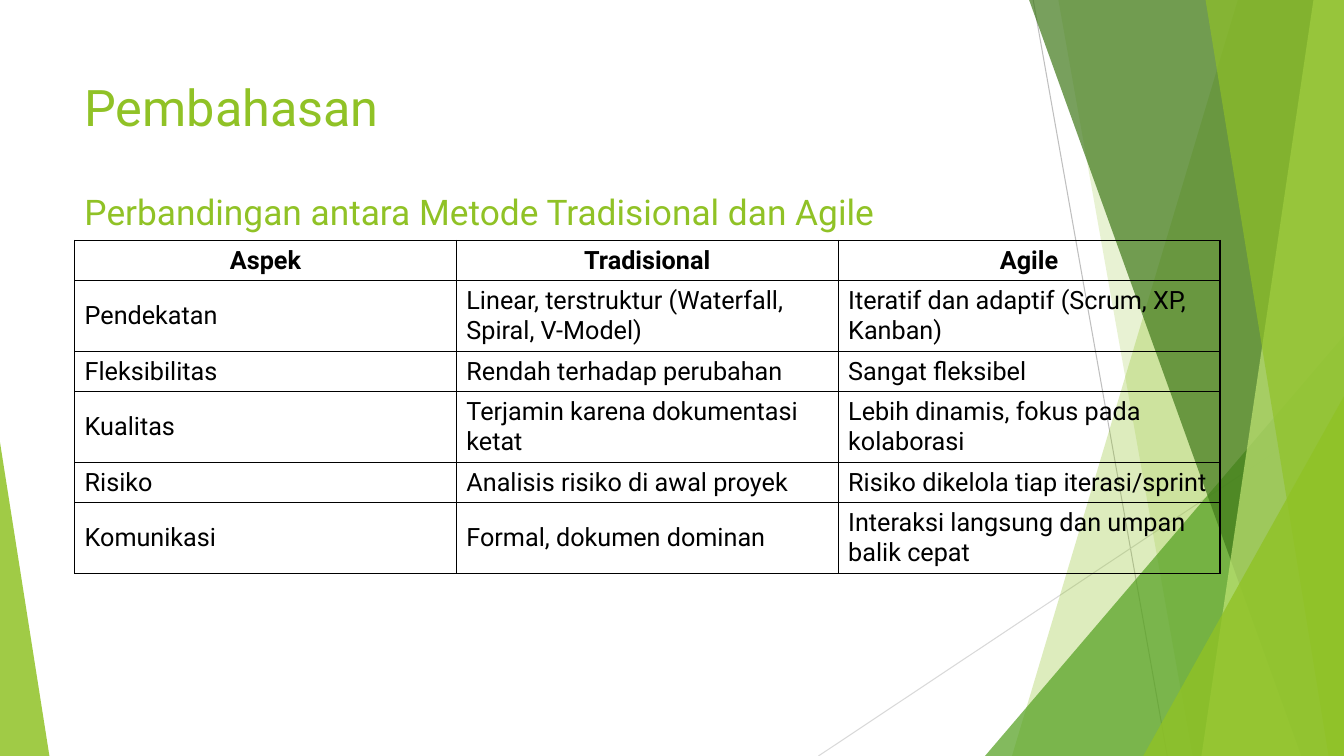
import pptx
import pptx.dml.color
import pptx.enum.shapes
import pptx.enum.text
import pptx.oxml
import pptx.oxml.ns
import pptx.util
from lxml import etree

Pt = pptx.util.Pt
WIDTH, HEIGHT = 960, 540
GREEN = "90C226"
MARGIN = 53.3
COLUMN_WIDTH = 272.7
ONE_LINE, TWO_LINES = 28.3, 49.4

COMPARISON = [
    (ONE_LINE, "Aspek", "Tradisional", "Agile"),
    (TWO_LINES, "Pendekatan", "Linear, terstruktur (Waterfall, Spiral, V-Model)",
     "Iteratif dan adaptif (Scrum, XP, Kanban)"),
    (ONE_LINE, "Fleksibilitas", "Rendah terhadap perubahan", "Sangat fleksibel"),
    (TWO_LINES, "Kualitas", "Terjamin karena dokumentasi ketat",
     "Lebih dinamis, fokus pada kolaborasi"),
    (ONE_LINE, "Risiko", "Analisis risiko di awal proyek",
     "Risiko dikelola tiap iterasi/sprint"),
    (TWO_LINES, "Komunikasi", "Formal, dokumen dominan",
     "Interaksi langsung dan umpan balik cepat"),
]


def color(value):
    return pptx.dml.color.RGBColor.from_string(value)


def write(text_frame, text, size=18, ink="000000", bold=False, align="LEFT"):
    paragraph = text_frame.paragraphs[0]
    paragraph.text = text
    paragraph.alignment = pptx.enum.text.PP_ALIGN[align]
    paragraph.font.name = "Roboto"
    paragraph.font.size = Pt(size)
    paragraph.font.bold = bold
    paragraph.font.color.rgb = color(ink)


def paint(shape, fill, opacity):
    shape.shadow.inherit = False
    shape.fill.solid()
    shape.fill.fore_color.rgb = color(fill)
    shape.line.fill.background()
    tint = shape.fill._xPr.find(".//" + pptx.oxml.ns.qn("a:srgbClr"))
    etree.SubElement(tint, pptx.oxml.ns.qn("a:alpha"), val=str(opacity * 1000))


def add_thin_line(slide, start, end, ink):
    line = slide.shapes.add_connector(
        pptx.enum.shapes.MSO_CONNECTOR.STRAIGHT, *map(Pt, start + end))
    line.line.color.rgb = color(ink)
    line.line.width = Pt(0.75)
    etree.SubElement(line._element.spPr, pptx.oxml.ns.qn("a:effectLst"))


def add_band(slide, top_x, bottom_x, fill, opacity):
    builder = slide.shapes.build_freeform(Pt(top_x), 0, scale=1.0)
    corners = [(WIDTH, 0), (WIDTH, HEIGHT), (bottom_x, HEIGHT)]
    builder.add_line_segments([(Pt(x), Pt(y)) for x, y in corners], close=True)
    paint(builder.convert_to_shape(), fill, opacity)


def add_corner(slide, left, top, width, apex, fill, opacity):
    triangle = slide.shapes.add_shape(
        pptx.enum.shapes.MSO_SHAPE.ISOSCELES_TRIANGLE,
        Pt(left), Pt(top), Pt(width), Pt(HEIGHT - top))
    triangle.adjustments[0] = apex
    paint(triangle, fill, opacity)


def add_heading(slide, top, height, text, size):
    heading = slide.shapes.add_textbox(Pt(MARGIN), Pt(top), Pt(676.8), Pt(height))
    heading.text_frame.word_wrap = True
    heading.text_frame.margin_top = Pt(6)
    write(heading.text_frame, text, size=size, ink=GREEN)


def add_borders(cell):
    properties = cell._tc.get_or_add_tcPr()
    for position, side in enumerate("LRTB"):
        properties.insert(position, pptx.oxml.parse_xml(
            f'<a:ln{side} {pptx.oxml.ns.nsdecls("a")} w="12700"><a:solidFill>'
            f'<a:srgbClr val="000000"/></a:solidFill></a:ln{side}>'))


def add_comparison(slide):
    frame = slide.shapes.add_table(
        len(COMPARISON), 3, Pt(MARGIN), Pt(171.8), Pt(COLUMN_WIDTH * 3),
        Pt(sum(row[0] for row in COMPARISON)))
    table = frame.table
    table.horz_banding = False
    for column in table.columns:
        column.width = Pt(COLUMN_WIDTH)
    for row_index, (height, *texts) in enumerate(COMPARISON):
        table.rows[row_index].height = Pt(height)
        header = row_index == 0
        for column_index, text in enumerate(texts):
            cell = table.cell(row_index, column_index)
            cell.fill.background()
            cell.vertical_anchor = pptx.enum.text.MSO_ANCHOR.MIDDLE
            write(cell.text_frame, text, bold=header,
                  align="CENTER" if header else "LEFT")
            add_borders(cell)


def add_decoration(slide):
    add_thin_line(slide, (738, 0), (833.8, HEIGHT), "BFBFBF")
    add_thin_line(slide, (WIDTH, 290.2), (584.6, HEIGHT), "D9D9D9")
    add_band(slide, 884.2, 722.9, GREEN, 30)
    add_band(slide, 756, 851.8, GREEN, 20)
    add_corner(slide, 703.6, 239.8, 256.4, 1, "54A021", 72)
    add_band(slide, 735.1, 929.5, "3F7819", 70)
    add_band(slide, 938.2, 858.2, "C0E474", 70)
    add_band(slide, 861.1, 949, GREEN, 65)
    add_corner(slide, 816.6, 283, 143.4, 1, GREEN, 80)
    add_corner(slide, 0, 316, 35.3, 0, GREEN, 85)


def main():
    presentation = pptx.Presentation()
    presentation.slide_width = Pt(WIDTH)
    presentation.slide_height = Pt(HEIGHT)
    slide = presentation.slides.add_slide(presentation.slide_layouts[6])
    add_decoration(slide)
    add_heading(slide, 48.2, 103.7, "Pembahasan", 36)
    add_comparison(slide)
    add_heading(slide, 129.6, 32.4,
                "Perbandingan antara Metode Tradisional dan Agile", 25.2)
    presentation.save("out.pptx")


if __name__ == "__main__":
    main()
